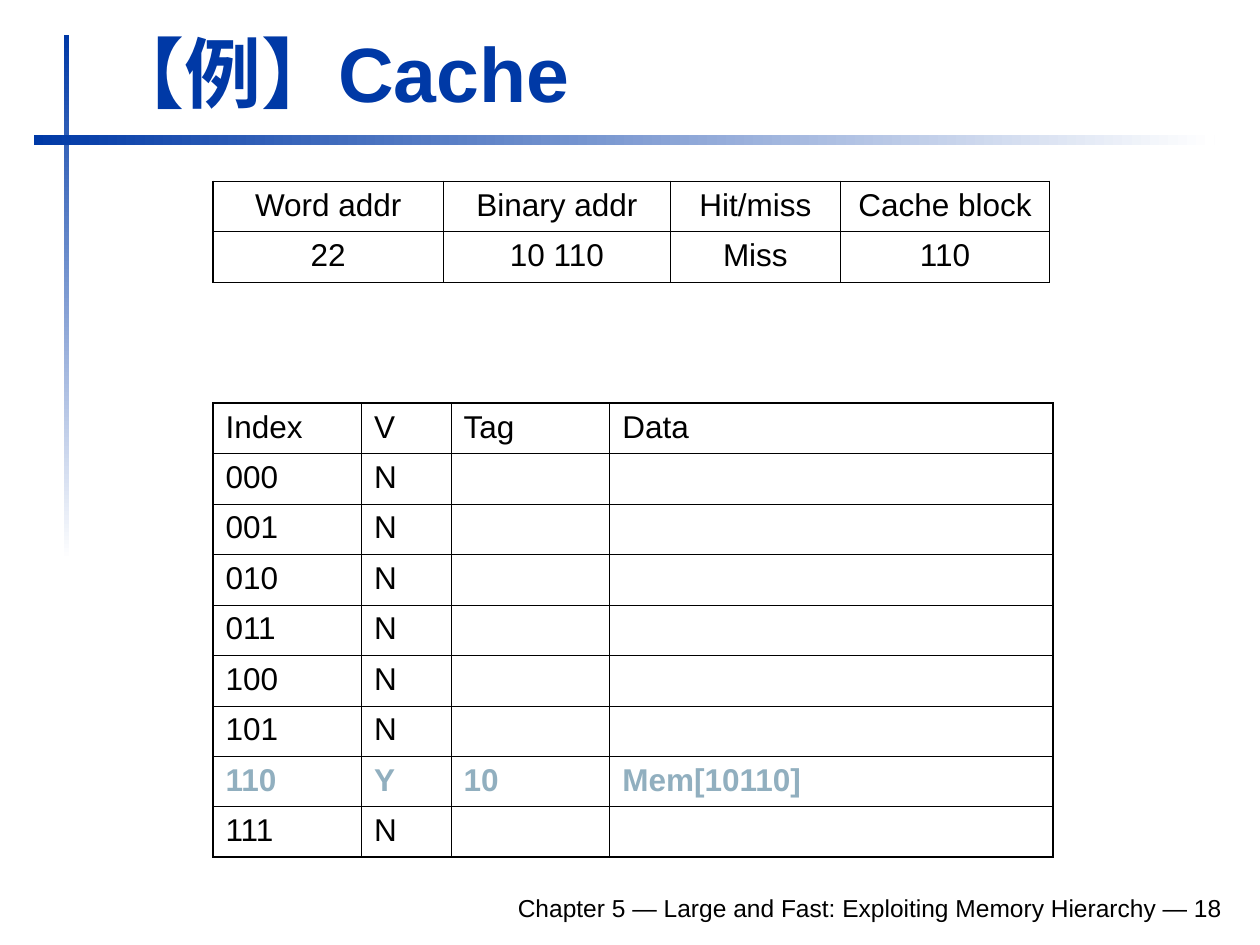
from dataclasses import dataclass

from lxml import etree
from pptx import Presentation
from pptx.dml.color import RGBColor
from pptx.enum.shapes import MSO_SHAPE
from pptx.enum.text import MSO_ANCHOR, MSO_AUTO_SIZE, PP_ALIGN
from pptx.oxml.ns import qn
from pptx.util import Inches, Pt

RECTANGLE = MSO_SHAPE.RECTANGLE
BOTTOM = MSO_ANCHOR.BOTTOM
GROW = MSO_AUTO_SIZE.SHAPE_TO_FIT_TEXT
LEFT, CENTER, RIGHT = PP_ALIGN.LEFT, PP_ALIGN.CENTER, PP_ALIGN.RIGHT

# The slide is a grid of 100 columns by 75 rows
SLIDE_WIDTH, SLIDE_HEIGHT = Inches(10), Inches(7.5)
GRID_COLUMNS, GRID_ROWS = 100, 75
TABLE_LEFT, TABLE_ROW = 16.9, 4


@dataclass(frozen=True)
class Theme:
    font: str = "Arial"
    title_size: int = 44
    table_size: int = 18
    footer_size: int = 14
    accent: str = "0039A6"
    fade: str = "FFFFFF"
    ink: str = "000000"
    highlight: str = "91AFBF"
    outer_line: float = 1.08
    header_line: float = 0.75
    inner_line: float = 0.45


@dataclass(frozen=True)
class Area:
    left: float
    top: float
    width: float
    height: float

    def box(self) -> tuple:
        return (column(self.left), row(self.top),
                column(self.width), row(self.height))


@dataclass(frozen=True)
class Rule:
    area: Area
    angle: int


@dataclass(frozen=True)
class Grid:
    top: float
    widths: tuple
    rows: tuple
    align: PP_ALIGN
    highlighted: int = -1


THEME = Theme()


def column(count: float) -> int:
    return round(SLIDE_WIDTH * count / GRID_COLUMNS)


def row(count: float) -> int:
    return round(SLIDE_HEIGHT * count / GRID_ROWS)


def write(frame, text: str, size: int, color: str, align, bold=False) -> None:
    paragraph = frame.paragraphs[0]
    paragraph.text = text
    paragraph.alignment = align
    font = paragraph.font
    font.name, font.size, font.bold = THEME.font, Pt(size), bold
    font.color.rgb = RGBColor.from_string(color)


def draw_rule(slide, rule: Rule) -> None:
    bar = slide.shapes.add_shape(RECTANGLE, *rule.area.box())
    bar.shadow.inherit = False
    bar.line.fill.background()
    bar.fill.gradient()
    bar.fill.gradient_angle = rule.angle
    for stop, color in zip(bar.fill.gradient_stops, (THEME.accent, THEME.fade)):
        stop.color.rgb = RGBColor.from_string(color)


def line_weight(edge: int, last: int, header: bool) -> float:
    if edge in (0, last):
        return THEME.outer_line
    return THEME.header_line if header and edge == 1 else THEME.inner_line


def set_borders(cell, weights: dict) -> None:
    properties = cell._tc.get_or_add_tcPr()
    for position, (side, weight) in enumerate(weights.items()):
        border = etree.Element(qn(f"a:ln{side}"), w=str(Pt(weight)))
        fill = etree.SubElement(border, qn("a:solidFill"))
        etree.SubElement(fill, qn("a:srgbClr"), val=THEME.ink)
        properties.insert(position, border)


def draw_table(slide, grid: Grid) -> None:
    row_count, column_count = len(grid.rows), len(grid.widths)
    area = Area(TABLE_LEFT, grid.top, sum(grid.widths), TABLE_ROW * row_count)
    table = slide.shapes.add_table(row_count, column_count, *area.box()).table
    table.first_row = table.horz_banding = False
    for table_column, width in zip(table.columns, grid.widths):
        table_column.width = column(width)

    for r, texts in enumerate(grid.rows):
        table.rows[r].height = row(TABLE_ROW)
        marked = r == grid.highlighted
        color = THEME.highlight if marked else THEME.ink
        for c, text in enumerate(texts):
            cell = table.cell(r, c)
            cell.fill.background()
            write(cell.text_frame, text, THEME.table_size, color,
                  grid.align, marked)
            set_borders(cell, {
                "L": line_weight(c, column_count, False),
                "R": line_weight(c + 1, column_count, False),
                "T": line_weight(r, row_count, True),
                "B": line_weight(r + 1, row_count, True),
            })


# Content
RULES = (
    Rule(Area(5.1, 2.8, 0.4, 41.7), 270),
    Rule(Area(2.7, 10.7, 93.7, 0.8), 0),
)
LOADED_BLOCK = 6
CACHE_ROWS = tuple(
    (f"{index:03b}", "Y", "10", "Mem[10110]") if index == LOADED_BLOCK
    else (f"{index:03b}", "N", "", "")
    for index in range(8)
)
CACHE = Grid(32, (11.8, 7.1, 12.6, 35.2),
             (("Index", "V", "Tag", "Data"), *CACHE_ROWS),
             LEFT, LOADED_BLOCK + 1)
ACCESS = Grid(14.4, (18.3, 18, 13.5, 16.6),
              (("Word addr", "Binary addr", "Hit/miss", "Cache block"),
               ("22", "10 110", "Miss", "110")), CENTER)


def main() -> None:
    presentation = Presentation()
    presentation.slide_width = SLIDE_WIDTH
    presentation.slide_height = SLIDE_HEIGHT
    slide = presentation.slides.add_slide(presentation.slide_layouts[5])

    # Crossed rules of the slide design
    for rule in RULES:
        draw_rule(slide, rule)

    # Footer
    footer = slide.shapes.add_textbox(*Area(18.5, 69.8, 79.5, 3.9).box())
    footer.text_frame.word_wrap = True
    footer.text_frame.vertical_anchor = BOTTOM
    write(footer.text_frame,
          "Chapter 5 — Large and Fast: Exploiting Memory Hierarchy — 18",
          THEME.footer_size, THEME.ink, RIGHT)

    # Title
    title = slide.shapes.title
    title.left, title.top, title.width, title.height = Area(
        7.5, 1.6, 90.3, 8.3).box()
    title.text_frame.vertical_anchor = BOTTOM
    title.text_frame.auto_size = GROW
    write(title.text_frame, "【例】Cache", THEME.title_size, THEME.accent,
          LEFT, True)

    # Cache contents and the current access
    for grid in (CACHE, ACCESS):
        draw_table(slide, grid)

    presentation.save("out.pptx")


if __name__ == "__main__":
    main()
